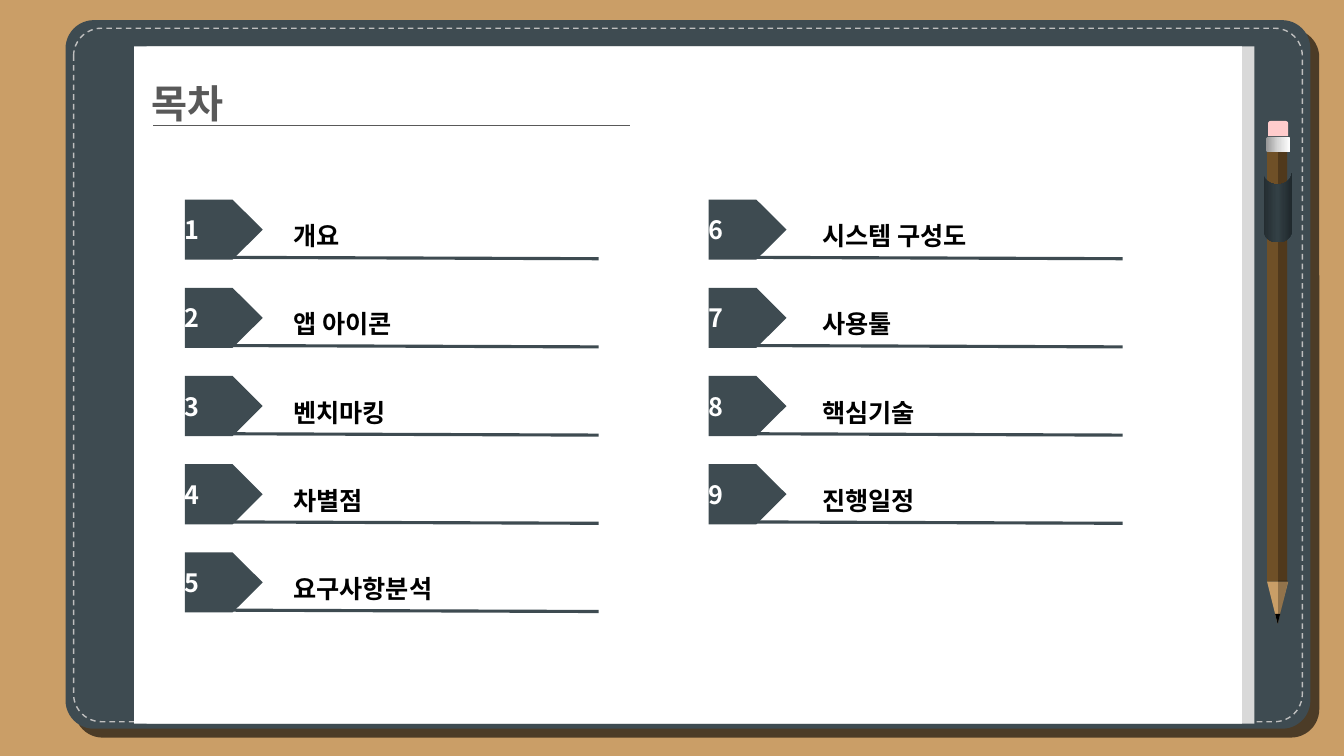
from pptx import Presentation
from pptx.dml.color import RGBColor
from pptx.enum.dml import MSO_LINE
from pptx.enum.shapes import MSO_CONNECTOR, MSO_SHAPE
from pptx.enum.text import MSO_ANCHOR, MSO_AUTO_SIZE, PP_ALIGN
from pptx.oxml import parse_xml
from pptx.oxml.ns import nsdecls, qn
from pptx.util import Emu, Inches, Pt

# The slide is a grid of 80 columns by 45 rows of square cells.
COLUMNS, ROWS = 80, 45
CELL = Inches(1) / 6

DESK = RGBColor(0xCA, 0x9E, 0x67)
SLATE = RGBColor(0x3E, 0x4B, 0x51)
STITCH = RGBColor(0xBF, 0xBF, 0xBF)
WHITE = RGBColor(0xFF, 0xFF, 0xFF)
BLACK = RGBColor(0x00, 0x00, 0x00)
PAGE_EDGE = RGBColor(0xD9, 0xD9, 0xD9)
GREY = RGBColor(0x59, 0x59, 0x59)
PENCIL = RGBColor(0x6F, 0x50, 0x27)
WOOD = RGBColor(0xC9, 0x9E, 0x67)
ERASER = RGBColor(0xFF, 0xCC, 0xCC)
GRIP = (RGBColor(0x24, 0x2D, 0x31), RGBColor(0x33, 0x40, 0x45), RGBColor(0x1F, 0x28, 0x2C))
METAL = (RGBColor(0x97, 0x97, 0x97), RGBColor(0xD7, 0xD7, 0xD7), WHITE)

TOPICS = (
    ("개요", "앱 아이콘", "벤치마킹", "차별점", "요구사항분석"),
    ("시스템 구성도", "사용툴", "핵심기술", "진행일정"),
)
BADGE_COLUMNS = (11, 42.18)
LABEL_COLUMNS = (16.86, 48.36)
FIRST_ROW, ROW_PITCH = 11.88, 5.25
BADGE_WIDTH, BADGE_SHOULDER, BADGE_HEIGHT = 4.64, 2.84, 3.58


def cells(*counts):
    return [Emu(round(count * CELL)) for count in counts]


class NotebookSlide:
    font_name = "Noto Sans CJK KR"

    def __init__(self, deck):
        self.slide = deck.slides.add_slide(deck.slide_layouts[6])
        self.shapes = self.slide.shapes
        background = self.slide.background.fill
        background.solid()
        background.fore_color.rgb = DESK

    def panel(self, kind, box, color=None, opacity=100, corner=None, flip=False):
        panel = self.shapes.add_shape(kind, *cells(*box))
        panel.shadow.inherit = False
        panel.line.fill.background()
        if corner is not None:
            panel.adjustments[0] = corner
        if flip:
            panel.element.spPr.xfrm.set("flipV", "1")
        if color is None:
            panel.fill.background()
            return panel
        panel.fill.solid()
        panel.fill.fore_color.rgb = color
        if opacity < 100:
            tint = panel.element.spPr.find(".//" + qn("a:srgbClr"))
            tint.append(parse_xml(f'<a:alpha {nsdecls("a")} val="{opacity * 1000}"/>'))
        return panel

    def gradient_panel(self, kind, box, colors, angle, rotation=0):
        panel = self.panel(kind, box)
        panel.rotation = rotation
        stops = "".join(
            f'<a:gs pos="{place * 50000}"><a:srgbClr val="{color}"/></a:gs>'
            for place, color in enumerate(colors)
        )
        properties = panel.element.spPr
        properties.replace(properties.find(qn("a:noFill")), parse_xml(
            f'<a:gradFill {nsdecls("a")} rotWithShape="1"><a:gsLst>{stops}</a:gsLst>'
            f'<a:lin ang="{angle * 60000}" scaled="0"/></a:gradFill>'
        ))

    def cast_shadow(self, panel, color, opacity, angle):
        """Give the panel a hard shadow, nine points away."""
        effects = panel.element.spPr.find(qn("a:effectLst"))
        effects.append(parse_xml(
            f'<a:outerShdw {nsdecls("a")} blurRad="0" dist="{Pt(9)}" dir="{angle * 60000}"'
            f' algn="tl" rotWithShape="0"><a:srgbClr val="{color}">'
            f'<a:alpha val="{opacity * 1000}"/></a:srgbClr></a:outerShdw>'
        ))

    def rule(self, start, end, color, width):
        rule = self.shapes.add_connector(MSO_CONNECTOR.STRAIGHT, *cells(*start, *end))
        rule.line.color.rgb = color
        rule.line.width = Pt(width)
        rule.element.spPr.append(parse_xml(f'<a:effectLst {nsdecls("a")}/>'))

    def set_text(self, holder, words, size, color):
        """Put one bold paragraph into a shape and return it."""
        paragraph = holder.text_frame.paragraphs[0]
        paragraph.text = words
        font = paragraph.font
        font.size, font.bold, font.name = Pt(size), True, self.font_name
        font.color.rgb = color
        for defaults in holder.element.iter(qn("a:defRPr")):
            defaults.append(parse_xml(f'<a:ea {nsdecls("a")} typeface="{self.font_name}"/>'))
        return paragraph

    def label(self, box, words, size=18, color=BLACK):
        label = self.shapes.add_textbox(*cells(*box))
        label.text_frame.word_wrap = True
        label.text_frame.auto_size = MSO_AUTO_SIZE.SHAPE_TO_FIT_TEXT
        return self.set_text(label, words, size, color)

    def badge(self, left, top, number):
        middle, bottom = top + BADGE_HEIGHT / 2, top + BADGE_HEIGHT
        shoulder = left + BADGE_SHOULDER
        outline = self.shapes.build_freeform(*cells(shoulder, top))
        outline.add_line_segments([
            cells(left, top), cells(left, bottom), cells(shoulder, bottom),
            cells(left + BADGE_WIDTH, middle),
        ])
        badge = outline.convert_to_shape()
        badge.shadow.inherit = False
        badge.fill.solid()
        badge.fill.fore_color.rgb = SLATE
        badge.line.fill.background()
        frame = badge.text_frame
        frame.margin_left = frame.margin_right = frame.margin_top = frame.margin_bottom = 0
        frame.vertical_anchor = MSO_ANCHOR.MIDDLE
        self.set_text(badge, str(number), 18, WHITE).alignment = PP_ALIGN.JUSTIFY

    def topic(self, column, row, number, words):
        left, top = BADGE_COLUMNS[column], FIRST_ROW + row * ROW_PITCH
        self.badge(left, top, number)
        self.rule((left + 2.64, top + 3.44), (left + 24.64, top + 3.52), SLATE, 2.25)
        self.label((LABEL_COLUMNS[column], top + 0.95, 15.24, 2.4), words)

    def notebook(self):
        cover = self.panel(MSO_SHAPE.ROUNDED_RECTANGLE, (3.9, 1.2, 74.1, 42.18), SLATE, corner=0.04)
        self.cast_shadow(cover, BLACK, 61, 45)
        seam = self.panel(MSO_SHAPE.ROUNDED_RECTANGLE, (4.38, 1.68, 73.14, 41.28), corner=0.04)
        seam.line.color.rgb = STITCH
        seam.line.width = Pt(1)
        seam.line.dash_style = MSO_LINE.DASH
        page = self.panel(MSO_SHAPE.RECTANGLE, (7.98, 2.76, 65.94, 40.32), WHITE)
        self.cast_shadow(page, PAGE_EDGE, 100, 0)

    def pencil(self):
        triangle = MSO_SHAPE.ISOSCELES_TRIANGLE
        self.panel(MSO_SHAPE.RECTANGLE, (75.42, 9.06, 1.2, 25.56), PENCIL)
        self.panel(MSO_SHAPE.RECTANGLE, (76.08, 9.06, 0.54, 25.56), BLACK, opacity=28)
        self.gradient_panel(MSO_SHAPE.FLOWCHART_STORED_DATA, (73.98, 11.52, 4.14, 1.68), GRIP, 90, 270)
        self.panel(triangle, (75.42, 34.62, 1.26, 2.52), WOOD, flip=True)
        self.panel(triangle, (75.9, 36.54, 0.3, 0.6), BLACK, flip=True)
        self.panel(MSO_SHAPE.RIGHT_TRIANGLE, (76.08, 34.56, 0.6, 2.58), BLACK, opacity=27, flip=True)
        self.gradient_panel(MSO_SHAPE.ROUNDED_RECTANGLE, (75.36, 8.16, 1.44, 0.9), METAL, 0)
        self.panel(MSO_SHAPE.ROUND_2_SAME_RECTANGLE, (75.48, 7.2, 1.2, 0.9), ERASER)


def main():
    deck = Presentation()
    deck.slide_width, deck.slide_height = cells(COLUMNS, ROWS)
    contents = NotebookSlide(deck)
    contents.notebook()
    contents.rule((9.12, 7.44), (37.5, 7.44), GREY, 0.5)
    contents.pencil()
    contents.label((8.46, 3, 23.64, 4.32), "목차", 28, GREY).line_spacing = 1.5
    number = 0
    for column, topics in enumerate(TOPICS):
        for row, words in enumerate(topics):
            number += 1
            contents.topic(column, row, number, words)
    deck.save("out.pptx")


if __name__ == "__main__":
    main()
